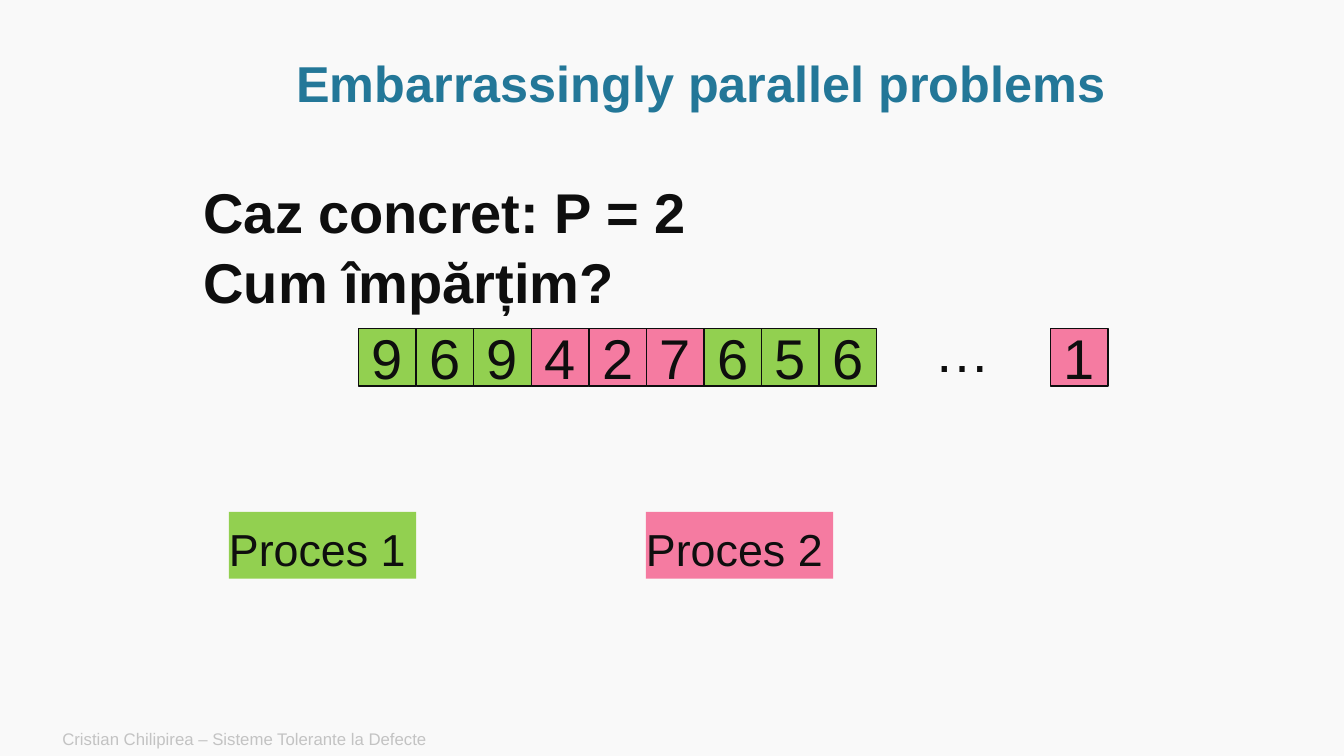
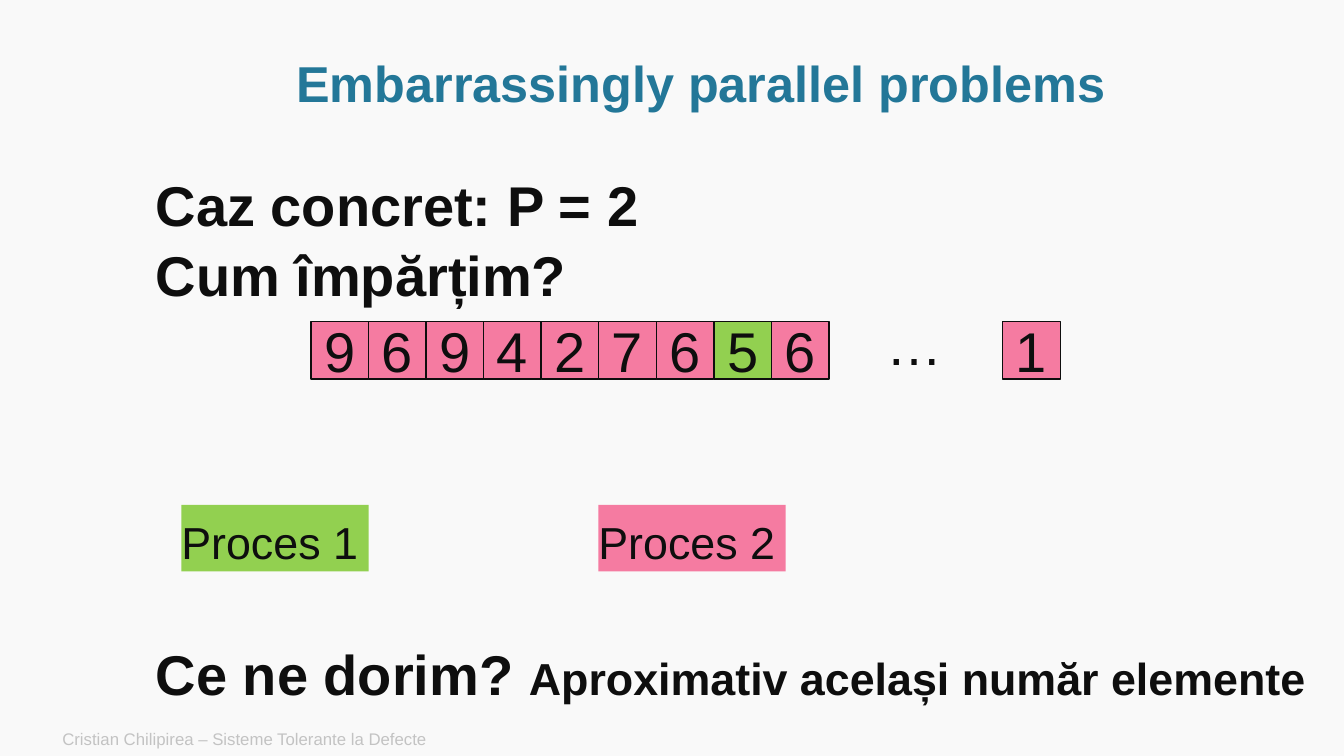
from dataclasses import dataclass

from pptx import Presentation
from pptx.dml.color import RGBColor
from pptx.enum.shapes import MSO_SHAPE
from pptx.enum.text import MSO_ANCHOR, PP_ALIGN
from pptx.util import Cm, Pt


@dataclass(frozen=True)
class Theme:
    font: str = "Arial"
    background: RGBColor = RGBColor(0xF9, 0xF9, 0xF9)
    title: RGBColor = RGBColor(0x23, 0x77, 0x98)
    ink: RGBColor = RGBColor(0x0E, 0x0E, 0x0E)
    footer: RGBColor = RGBColor(0xC3, 0xC3, 0xC3)
    green: RGBColor = RGBColor(0x92, 0xD0, 0x50)
    pink: RGBColor = RGBColor(0xF5, 0x7B, 0xA1)
    title_size: Pt = Pt(36)
    body_size: Pt = Pt(40)
    label_size: Pt = Pt(32)
    footer_size: Pt = Pt(12)


T = Theme()
TITLE = "Embarrassingly parallel problems"
FOOTER = "Cristian Chilipirea – Sisteme Tolerante la Defecte"
HEADING = "Caz concret: P = 2\nCum împărțim?"
QUESTION = "Ce ne dorim? "
ANSWER = "Aproximativ același număr elemente"
DIGITS = "969427656"
LAST_DIGIT = "1"
CELL = 1.45
LAST_CELL = 17.43  # from the first cell, after the ellipsis
FILLS = {"1": T.green, "2": T.pink}

# Left and top of the content in cm, owner process of each cell, closing question
SLIDES = [
    (4.88, 4.34, "1112221112", False),
    (3.68, 4.16, "2222222122", True),
]


def add_text(s, text, x, y, w, h, size, color=T.ink, bold=False,
             align=PP_ALIGN.LEFT, anchor=MSO_ANCHOR.TOP, fill=None):
    """Add a text box, or a rectangle when a fill is given; lengths in cm."""
    box = Cm(x), Cm(y), Cm(w), Cm(h)
    if fill is None:
        sp = s.shapes.add_textbox(*box)
    else:
        sp = s.shapes.add_shape(MSO_SHAPE.RECTANGLE, *box)
        sp.shadow.inherit = False
        sp.fill.solid()
        sp.fill.fore_color.rgb = fill
        sp.line.fill.background()
    tf = sp.text_frame
    tf.word_wrap = True
    tf.vertical_anchor = anchor
    tf.text = text
    for p in tf.paragraphs:
        p.alignment = align
        for r in p.runs:
            r.font.name, r.font.size, r.font.bold = T.font, size, bold
            r.font.color.rgb = color
    return sp


prs = Presentation()
prs.slide_width, prs.slide_height = Cm(33.87), Cm(19.05)

for left, top, owners, has_question in SLIDES:
    s = prs.slides.add_slide(prs.slide_layouts[6])
    s.background.fill.solid()
    s.background.fill.fore_color.rgb = T.background

    add_text(s, FOOTER, 1.32, 18.19, 21.34, 0.86, T.footer_size, T.footer,
             anchor=MSO_ANCHOR.MIDDLE)
    title = add_text(s, TITLE, 2.9, 1.3, 29.54, 1.75, T.title_size, T.title,
                     True, PP_ALIGN.CENTER, MSO_ANCHOR.MIDDLE)
    title.text_frame.paragraphs[0].line_spacing = 0.9

    heading = add_text(s, HEADING, left, top, 15.75, 3.68, T.body_size, bold=True)
    heading.text_frame.paragraphs[1].space_before = Pt(2)

    cell_left, cell_top = left + 4.16, top + 3.94
    offsets = [i * CELL for i in range(len(DIGITS))] + [LAST_CELL]
    for digit, owner, offset in zip(DIGITS + LAST_DIGIT, owners, offsets):
        cell = add_text(s, digit, cell_left + offset, cell_top, CELL, CELL,
                        T.body_size, align=PP_ALIGN.CENTER,
                        anchor=MSO_ANCHOR.MIDDLE, fill=FILLS[owner])
        cell.line.color.rgb = T.ink
        cell.line.width = Pt(1)
    dots = add_text(s, "…", left + 18.41, top + 3.51, 1.93, 1.96, T.body_size)
    dots.text_frame.word_wrap = False

    for process, offset in (("1", 0.89), ("2", 11.4)):
        label = add_text(s, f"Proces {process}", left + offset, top + 8.56,
                         4.72, 1.68, T.label_size, fill=FILLS[process])
        tf = label.text_frame
        tf.margin_left = tf.margin_right = 0
        tf.margin_top = Cm(0.25)

    if has_question:
        question = add_text(s, QUESTION, left, top + 11.84, 29.82, 1.88,
                            T.body_size, bold=True)
        r = question.text_frame.paragraphs[0].add_run()
        r.text = ANSWER
        r.font.name, r.font.size, r.font.bold = T.font, T.label_size, True
        r.font.color.rgb = T.ink

prs.save("out.pptx")
